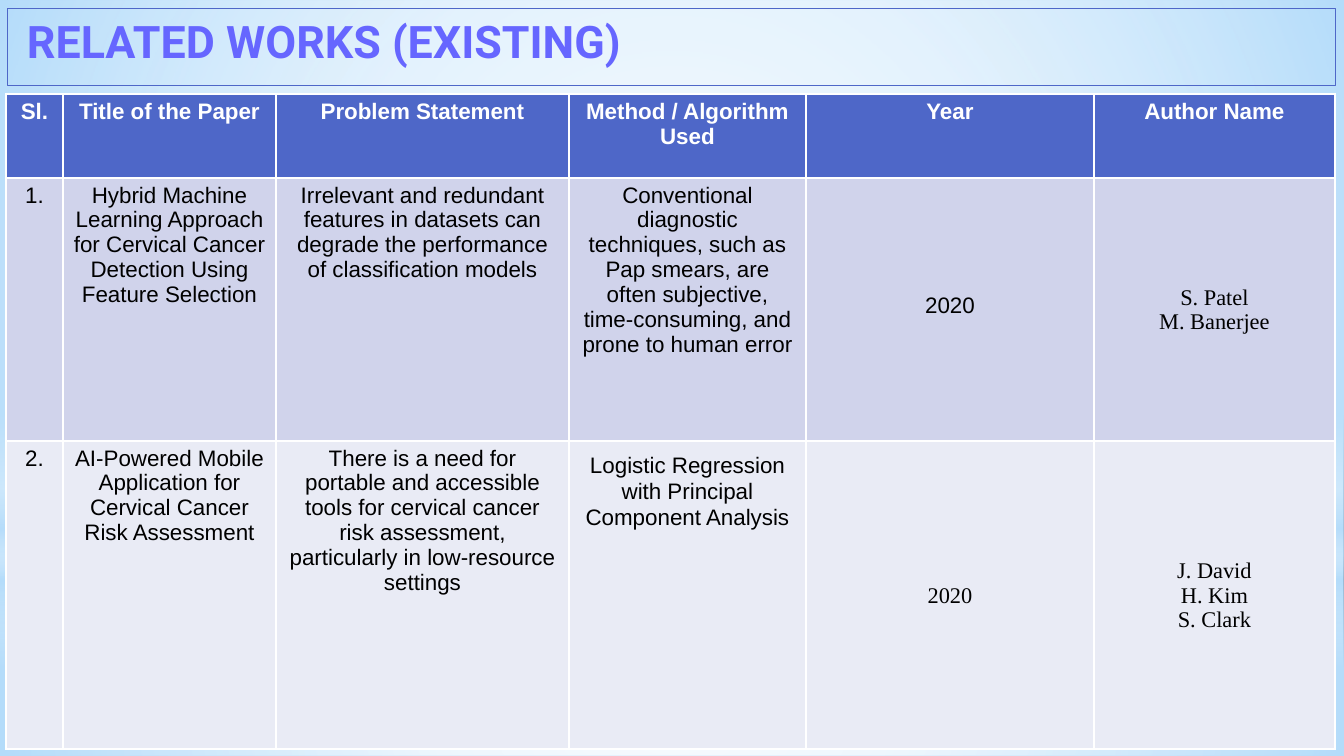
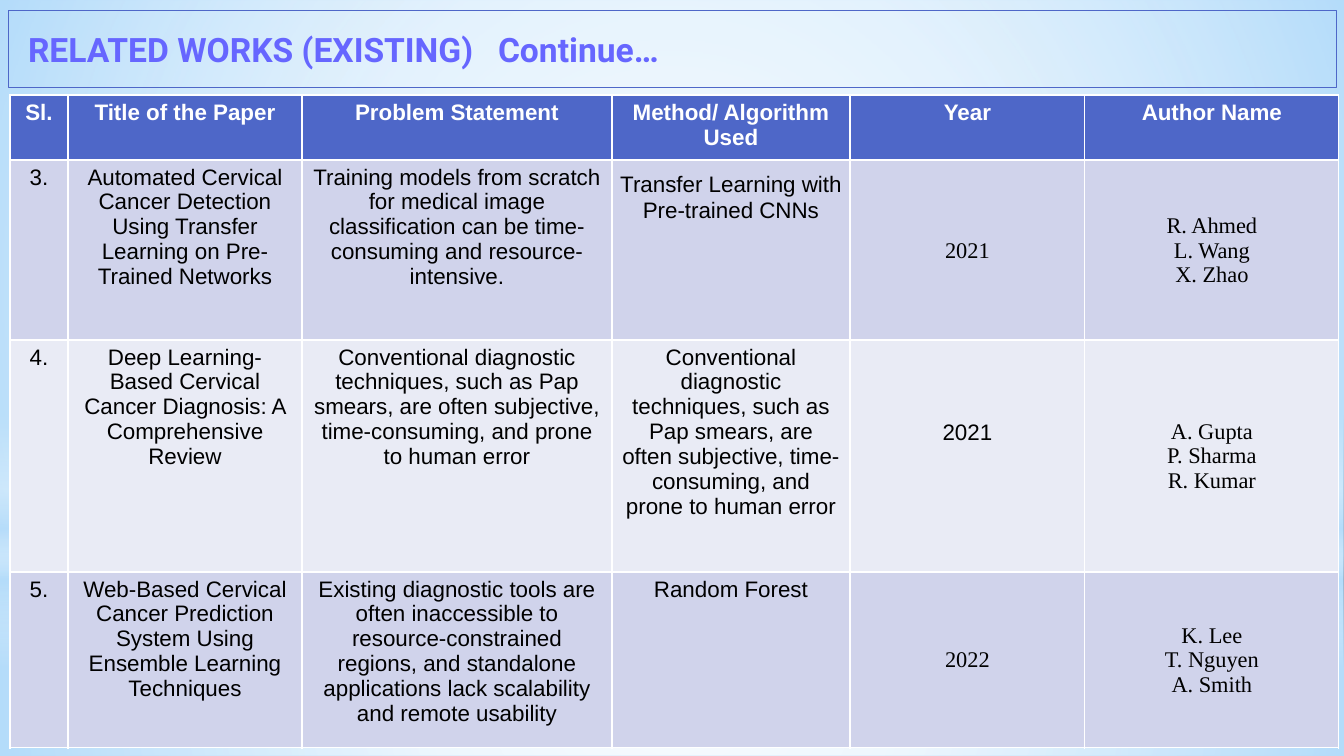
from lxml import etree
from pptx import Presentation
from pptx import util as u
from pptx.dml.color import RGBColor
from pptx.enum import shapes, text
from pptx.oxml.ns import nsdecls, qn

SCALE = 914400 / 100.8
W, H = 1344, 756
BLUE, SKY, WHITE, BLACK, VIOLET = "4E67C8", "B4DCFA", "FFFFFF", "000000", "6666FF"
BANDS = ["D0D3EB", "E9EBF5"]
SERIF = dict(font="Times New Roman", anchor=text.MSO_ANCHOR.MIDDLE, side=1, top=1, bottom=0)
LOOSE = dict(side=5, top=11, bottom=0, spacing=1.05, after=10)
SUBJECTIVE = ("Conventional diagnostic techniques, such as Pap smears, are often "
              "subjective, time-consuming, and prone to human error")

RECT, OVAL = shapes.MSO_SHAPE.RECTANGLE, shapes.MSO_SHAPE.OVAL
CIRCLE = '<a:path path="circle"><a:fillToRect l="50000" t="50000" r="50000" b="50000"/></a:path>'
DOWN = '<a:lin ang="5400000" scaled="0"/>'
GLOWS = [
    (RECT, (0, 562, W, 194), CIRCLE, [(0, WHITE, 91), (37, WHITE, 76), (100, SKY, 79)]),
    (RECT, (0, 0, W, 562), CIRCLE, [(0, WHITE, 89), (48, WHITE, 62), (100, SKY, 79)]),
    (RECT, (0, 415, W, 252), DOWN, [(0, WHITE, 0), (29, WHITE, 30), (45, SKY, 40),
                                    (55, WHITE, 26), (65, SKY, 60), (100, WHITE, 0)]),
    (OVAL, (0, 176, W, 562), CIRCLE, [(0, WHITE, 100), (56, WHITE, 0)]),
]

FIRST_WORKS = [
    ["1.", "Hybrid Machine Learning Approach for Cervical Cancer Detection Using Feature Selection",
     "Irrelevant and redundant features in datasets can degrade the performance of "
     "classification models",
     SUBJECTIVE, ("2020", dict(top=115)), ("S. Patel\nM. Banerjee", SERIF)],
    ["2.", "AI-Powered Mobile Application for Cervical Cancer Risk Assessment",
     "There is a need for portable and accessible tools for cervical cancer risk assessment, "
     "particularly in low-resource settings",
     ("Logistic Regression with Principal Component Analysis", LOOSE),
     ("2020", SERIF), ("J. David\nH. Kim\nS. Clark", SERIF)],
]
MORE_WORKS = [
    ["3.", "Automated Cervical Cancer Detection Using Transfer Learning on Pre-Trained Networks",
     "Training models from scratch for medical image classification can be time-consuming "
     "and resource-intensive.",
     ("Transfer Learning with Pre-trained CNNs", LOOSE),
     ("2021", SERIF), ("R. Ahmed\nL. Wang\nX. Zhao", SERIF)],
    ["4.", "Deep Learning-Based Cervical Cancer Diagnosis: A Comprehensive Review",
     SUBJECTIVE, SUBJECTIVE, ("2021", dict(top=80)),
     ("A. Gupta\nP. Sharma\nR. Kumar", SERIF)],
    ["5.", "Web-Based Cervical Cancer Prediction System Using Ensemble Learning Techniques",
     "Existing diagnostic tools are often inaccessible to resource-constrained regions, and "
     "standalone applications lack scalability and remote usability",
     "Random Forest", ("2022", SERIF), ("K. Lee\nT. Nguyen\nA. Smith", SERIF)],
]


def px(n):
    """Turn pixels into EMU."""
    return u.Emu(round(n * SCALE))


def rgb(value):
    """Turn a hex string into a colour."""
    return RGBColor.from_string(value)


def put_text(tf, words, size=16, font="Arial", color=BLACK, bold=False,
             align=text.PP_ALIGN.CENTER, spacing=None, after=None):
    """Write one paragraph per line of words."""
    for i, line in enumerate(words.split("\n")):
        p = tf.add_paragraph() if i else tf.paragraphs[0]
        p.alignment = align
        p.line_spacing = spacing
        p.space_after = None if after is None else u.Pt(after)
        r = p.add_run()
        r.text = line
        r.font.name, r.font.size, r.font.bold = font, u.Pt(size), bold
        r.font.color.rgb = rgb(color)


def fill_gradient(sp, direction, stops):
    """Fill a shape with a gradient of (position, colour, opacity) stops."""
    sp.fill.background()
    marks = "".join(f'<a:gs pos="{at * 1000}"><a:srgbClr val="{color}">'
                    f'<a:alpha val="{alpha * 1000}"/></a:srgbClr></a:gs>'
                    for at, color, alpha in stops)
    grad = etree.fromstring(f'<a:gradFill {nsdecls("a")} rotWithShape="1">'
                            f'<a:gsLst>{marks}</a:gsLst>{direction}</a:gradFill>')
    spPr = sp.element.spPr
    spPr.replace(spPr.find(qn("a:noFill")), grad)


def add_backdrop(layout, s):
    """Give the layout its sky background, drawing the glows through a slide."""
    layout.background.fill.solid()
    layout.background.fill.fore_color.rgb = rgb(SKY)
    for i, (kind, box, direction, stops) in enumerate(GLOWS):
        sp = s.shapes.add_shape(kind, *map(px, box))
        sp.shadow.inherit = False
        sp.line.fill.background()
        fill_gradient(sp, direction, stops)
        sp.element.nvSpPr.cNvPr.id = 20 + i
        layout.shapes.element.insert(2 + i, sp.element)


def set_title(s, words, left, top, size, tab=None):
    """Place the framed title, with an optional tab stop."""
    sp = s.shapes.title
    sp.left, sp.top, sp.width, sp.height = map(px, (left, top, 1328, 77))
    sp.line.color.rgb = rgb(BLUE)
    sp.line.width = u.Pt(0.25)
    tf = sp.text_frame
    tf.auto_size = text.MSO_AUTO_SIZE.NONE
    tf.vertical_anchor = text.MSO_ANCHOR.BOTTOM
    tf.margin_left, tf.margin_bottom = px(20), px(17)
    if tab:
        tabs = etree.SubElement(tf.paragraphs[0]._p.get_or_add_pPr(), qn("a:tabLst"))
        etree.SubElement(tabs, qn("a:tab"), pos=str(px(tab)), algn="l")
    put_text(tf, words, size=size, font="Roboto", color=VIOLET, bold=True,
             align=text.PP_ALIGN.LEFT, spacing=0.9)


def set_cell(cell, words, fill, side=10, top=5, bottom=5,
             anchor=text.MSO_ANCHOR.TOP, **style):
    """Fill one table cell and write its text."""
    cell.fill.solid()
    cell.fill.fore_color.rgb = rgb(fill)
    cell.margin_left = cell.margin_right = px(side)
    cell.margin_top, cell.margin_bottom = px(top), px(bottom)
    cell.vertical_anchor = anchor
    put_text(cell.text_frame, words, **style)


def add_works(s, left, top, widths, heights, method, works):
    """Add the table of papers under its header row."""
    table = s.shapes.add_table(len(heights), len(widths), px(left), px(top),
                               px(sum(widths)), px(sum(heights))).table
    for column, width in zip(table.columns, widths):
        column.width = px(width)
    for row, height in zip(table.rows, heights):
        row.height = px(height)
    header = ["Sl.", "Title of the Paper", "Problem Statement", method, "Year", "Author Name"]
    for c, words in enumerate(header):
        set_cell(table.cell(0, c), words, BLUE, color=WHITE, bold=True)
    for r, work in enumerate(works):
        for c, item in enumerate(work):
            words, style = (item, {}) if isinstance(item, str) else item
            set_cell(table.cell(r + 1, c), words, BANDS[r % 2], **style)


def main():
    """Build both slides and save them."""
    prs = Presentation()
    prs.slide_width, prs.slide_height = px(W), px(H)
    layout = prs.slide_layouts[5]

    s = prs.slides.add_slide(layout)
    add_backdrop(layout, s)
    set_title(s, "RELATED WORKS (EXISTING)", 7, 8, 32)
    add_works(s, 6, 94, [57, 213, 293, 237, 288, 241], [84, 263, 308],
              "Method / Algorithm Used", FIRST_WORKS)

    s = prs.slides.add_slide(layout)
    set_title(s, "RELATED WORKS (EXISTING)\tContinue…", 8, 10, 24, tab=470)
    add_works(s, 10, 95, [58, 234, 310, 238, 235, 254], [65, 180, 232, 176],
              "Method/ Algorithm Used", MORE_WORKS)

    prs.save("out.pptx")


if __name__ == "__main__":
    main()
